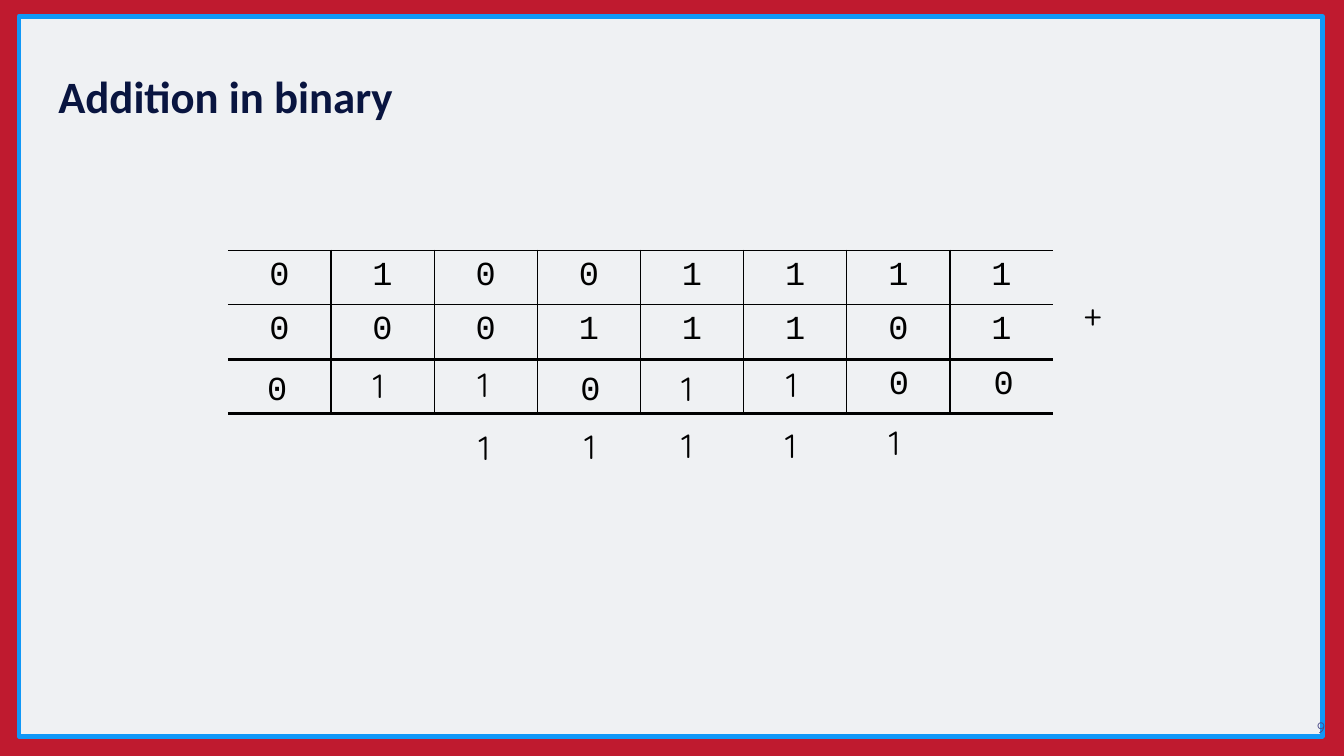
from lxml import etree
from pptx import Presentation
from pptx import util as u
from pptx.dml.color import RGBColor
from pptx.enum import shapes, text
from pptx.oxml.ns import qn

TITLE = "Addition in binary"
PAGE = "9"
ADDENDS = ["01001111", "00011101"]
SUM_DIGITS = [
    ("0", 6.4, 8.92), ("1", 9.07, 8.86), ("1", 11.71, 8.84), ("0", 14.3, 8.92),
    ("1", 16.84, 8.94), ("1", 19.48, 8.84), ("0", 22.07, 8.76), ("0", 24.71, 8.76),
]
CARRIES = [
    ("1", 11.73, 10.44), ("1", 14.4, 10.41), ("1", 16.84, 10.39),
    ("1", 19.46, 10.39), ("1", 22.07, 10.29),
]
PLUS = ("+", 26.97, 7.06)
COLORS = {"red": "BF1A2F", "panel": "EFF1F3", "frame": "1098F7",
          "title": "091540", "page": "494985", "ink": "000000"}
MONO, SANS = "Courier New", "Quicksand"
COLS, ROWS = 8, 3
COL_W, ROW_H = 2.6, 1.36
RULES = [0.75, 1, 2.25, 2.25]
INSET = 0.33


def rgb(name):
    return RGBColor.from_string(COLORS[name])


def set_margins(item, size):
    item.margin_left = item.margin_right = u.Cm(size)
    item.margin_top = item.margin_bottom = u.Cm(size)


def style(p, font, size, color, align=None):
    p.font.name = font
    p.font.size = u.Pt(size)
    p.font.color.rgb = rgb(color)
    p.alignment = align


def add_label(s, content, x, y, w, h, font, size, color, align=None):
    tf = s.shapes.add_textbox(u.Cm(x), u.Cm(y), u.Cm(w), u.Cm(h)).text_frame
    tf.word_wrap = True
    set_margins(tf, INSET)
    tf.text = content
    style(tf.paragraphs[0], font, size, color, align)


def set_borders(cell, widths):
    tc_pr = cell._tc.get_or_add_tcPr()
    for i, (side, width) in enumerate(zip("LRTB", widths)):
        ln = etree.Element(qn(f"a:ln{side}"))
        if width:
            ln.set("w", str(u.Pt(width)))
            fill = etree.SubElement(ln, qn("a:solidFill"))
            etree.SubElement(fill, qn("a:srgbClr")).set("val", COLORS["ink"])
        else:
            etree.SubElement(ln, qn("a:noFill"))
        tc_pr.insert(i, ln)


def add_sum_table(s):
    table = s.shapes.add_table(ROWS, COLS, u.Cm(5.74), u.Cm(6.3),
                               u.Cm(COLS * COL_W), u.Cm(ROWS * ROW_H)).table
    table.first_row = table.horz_banding = False
    for col in table.columns:
        col.width = u.Cm(COL_W)
    for r, row in enumerate(table.rows):
        row.height = u.Cm(ROW_H)
        for c, cell in enumerate(row.cells):
            set_margins(cell, 0.18)
            cell.fill.background()
            set_borders(cell, (c > 0, c < COLS - 1, RULES[r], RULES[r + 1]))
            if r < len(ADDENDS):
                cell.text = ADDENDS[r][c]
                style(cell.text_frame.paragraphs[0], MONO, 24, "ink", text.PP_ALIGN.CENTER)


def main():
    prs = Presentation()
    prs.slide_width, prs.slide_height = u.Cm(33.87), u.Cm(19.05)
    s = prs.slides.add_slide(prs.slide_layouts[5])
    s.background.fill.solid()
    s.background.fill.fore_color.rgb = rgb("red")

    panel = s.shapes.add_shape(shapes.MSO_SHAPE.RECTANGLE, u.Cm(0.48), u.Cm(0.41),
                               u.Cm(32.84), u.Cm(18.14))
    panel.shadow.inherit = False
    panel.fill.solid()
    panel.fill.fore_color.rgb = rgb("panel")
    panel.line.color.rgb = rgb("frame")
    panel.line.width = u.Pt(3.5)
    s.shapes._spTree.insert(2, panel._element)

    title = s.shapes.title
    title.left, title.top = u.Cm(1.14), u.Cm(1.19)
    title.width, title.height = u.Cm(31.57), u.Cm(2.59)
    tf = title.text_frame
    tf.text = TITLE
    tf.vertical_anchor = text.MSO_ANCHOR.MIDDLE
    set_margins(tf, INSET)
    p = tf.paragraphs[0]
    style(p, "Calibri", 32, "title", text.PP_ALIGN.LEFT)
    p.font.bold = True
    p.line_spacing = 0.9

    add_label(s, PAGE, 32.72, 17.88, 1.14, 1.16, SANS, 10.7, "page", text.PP_ALIGN.CENTER)
    add_sum_table(s)
    for digit, x, y in [PLUS] + SUM_DIGITS + CARRIES:
        font = MONO if digit == "0" else SANS
        add_label(s, digit, x, y, 1.14, 1.63, font, 24, "ink")

    prs.save("out.pptx")


if __name__ == "__main__":
    main()
